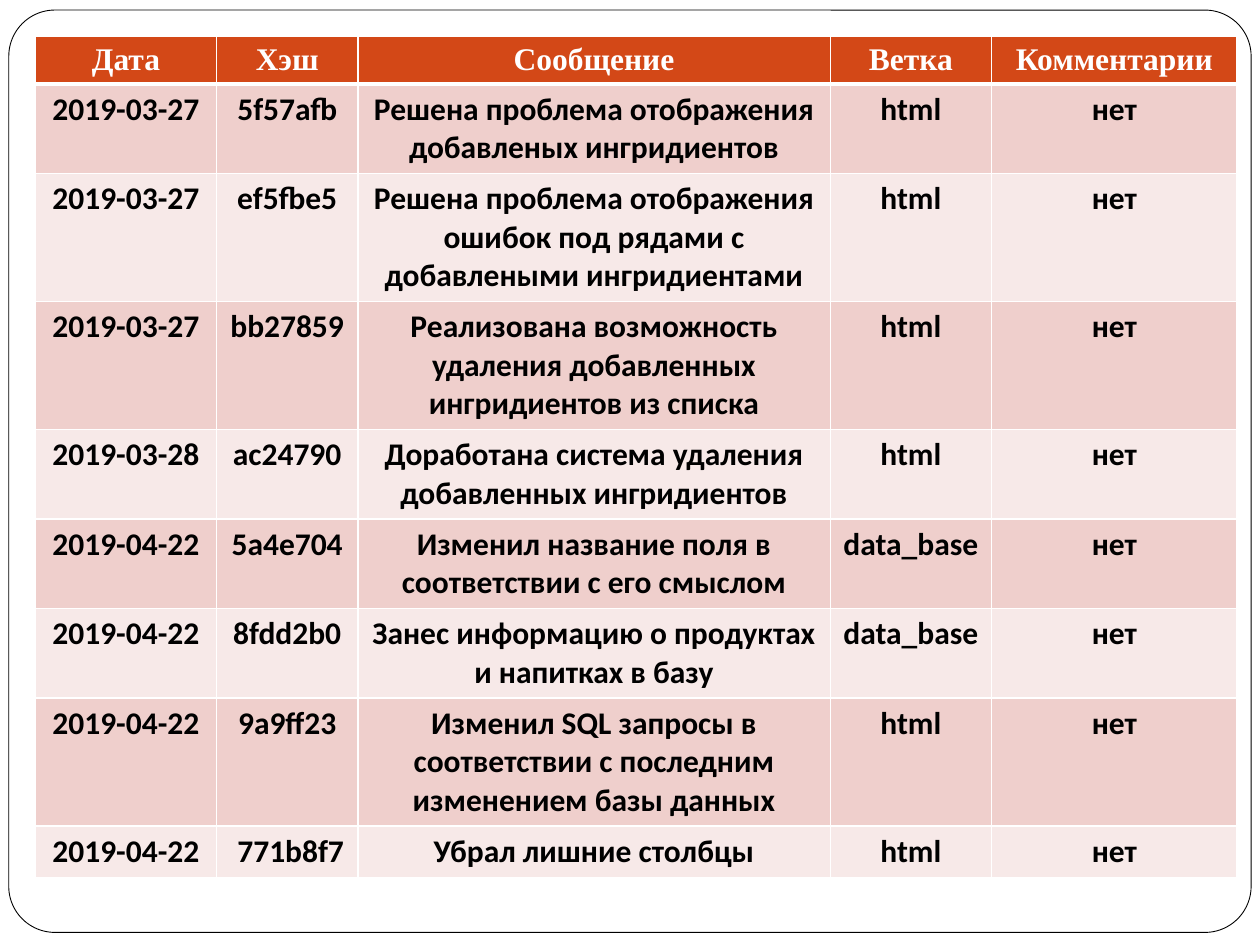
"""Builds a slide with a table of commits inside a rounded frame."""
from lxml.etree import SubElement as Sub
from pptx import Presentation
from pptx.dml.color import RGBColor as Rgb
from pptx.enum.shapes import MSO_SHAPE as Shape
from pptx.enum.text import PP_ALIGN as Align
from pptx.oxml.ns import qn
from pptx.util import Inches, Pt

HEAD = ["Дата", "Хэш", "Сообщение", "Ветка", "Комментарии"]
ROWS = [
    ("2019-03-27", "5f57afb", "Решена проблема отображения добавленых ингридиентов", "html", "нет"),
    ("2019-03-27", "ef5fbe5", "Решена проблема отображения ошибок под рядами с добавлеными ингридиентами", "html", "нет"),
    ("2019-03-27", "bb27859", "Реализована возможность удаления добавленных ингридиентов из списка", "html", "нет"),
    ("2019-03-28", "ac24790", "Доработана система удаления добавленных ингридиентов", "html", "нет"),
    ("2019-04-22", "5a4e704", "Изменил название поля в соответствии с его смыслом", "data_base", "нет"),
    ("2019-04-22", "8fdd2b0", "Занес информацию о продуктах и напитках в базу", "data_base", "нет"),
    ("2019-04-22", "9a9ff23", "Изменил SQL запросы в соответствии с последним изменением базы данных", "html", "нет"),
    ("2019-04-22", " 771b8f7", "Убрал лишние столбцы", "html", "нет"),
]
WIDTHS = [1.44, 1.12, 3.75, 1.28, 1.95]
COLORS = {"head": "D34817", "odd": "EFCFCC", "even": "F7E9E8", "white": "FFFFFF", "black": "000000"}


def color(name):
    return Rgb.from_string(COLORS[name])


def add_frame(slide):
    box = slide.shapes.add_shape(Shape.ROUNDED_RECTANGLE, Inches(0.07), Inches(0.08), Inches(9.86), Inches(7.32))
    box.adjustments[0] = 0.05
    box.shadow.inherit = False
    box.fill.solid()
    box.fill.fore_color.rgb = color("white")
    box.line.color.rgb = color("black")
    box.line.width = Pt(0.5)


def add_edges(cell, top, bottom):
    props = cell._tc.get_or_add_tcPr()
    for side, width in (("L", 1), ("R", 1), ("T", top), ("B", bottom)):
        line = Sub(props, qn(f"a:ln{side}"), w=str(Pt(width)))
        fill = Sub(line, qn("a:solidFill"))
        Sub(fill, qn("a:srgbClr"), val=COLORS["white"])


def fill_cell(cell, text, row):
    add_edges(cell, 3 if row == 1 else 1, 3 if row == 0 else 1)
    cell.fill.solid()
    cell.fill.fore_color.rgb = color("head" if row == 0 else "odd" if row % 2 else "even")
    para = cell.text_frame.paragraphs[0]
    para.alignment = Align.CENTER
    run = para.add_run()
    run.text = text
    font = run.font
    font.size, font.bold = Pt(18), True
    font.name = "Calibri" if row else "Times New Roman"
    font.color.rgb = color("black" if row else "white")


def add_log(slide):
    data = [HEAD, *ROWS]
    frame = slide.shapes.add_table(len(data), len(HEAD), Inches(0.28), Inches(0.29), Inches(9.53), Inches(6.6))
    table = frame.table
    for col, width in zip(table.columns, WIDTHS):
        col.width = Inches(width)
    for r, texts in enumerate(data):
        table.rows[r].height = Inches(0.33)
        for c, text in enumerate(texts):
            fill_cell(table.cell(r, c), text, r)
    frame.height = Inches(6.6)


def main():
    deck = Presentation()
    deck.slide_width, deck.slide_height = Inches(10), Inches(7.5)
    slide = deck.slides.add_slide(deck.slide_layouts[6])
    add_frame(slide)
    add_log(slide)
    deck.save("out.pptx")


if __name__ == "__main__":
    main()
